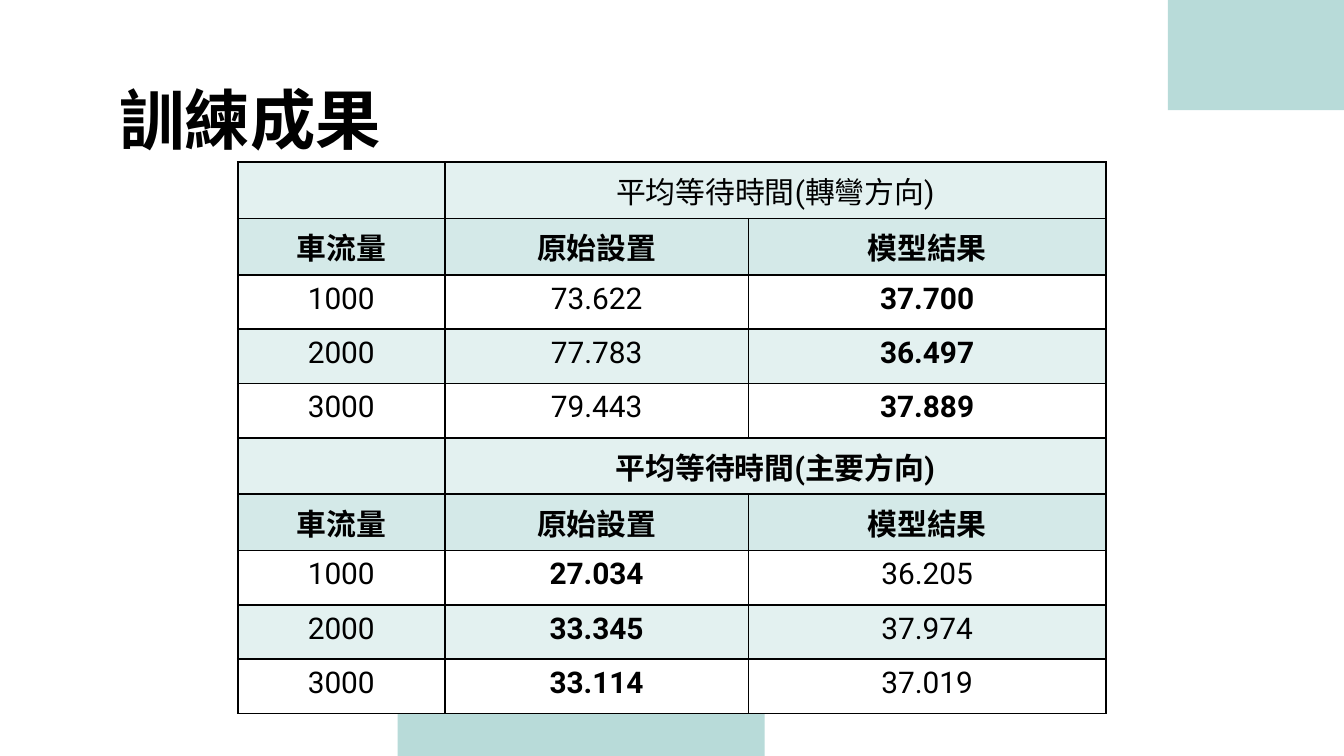
from dataclasses import dataclass

from lxml.etree import SubElement
from pptx import Presentation
from pptx.dml.color import RGBColor
from pptx.enum.shapes import MSO_SHAPE as Shape
from pptx.enum.text import MSO_ANCHOR as Anchor, PP_ALIGN as Align
from pptx.oxml.ns import qn
from pptx.util import Pt


@dataclass(frozen=True)
class Theme:
    """Colours, fonts and type sizes of the deck."""
    ink: RGBColor = RGBColor.from_string("000000")
    accent: RGBColor = RGBColor.from_string("B8DBD9")
    header: RGBColor = RGBColor.from_string("D4E9E8")
    band: RGBColor = RGBColor.from_string("E3F1F0")
    paper: RGBColor = RGBColor.from_string("FFFFFF")
    latin: str = "Roboto"
    chinese: str = "Noto Sans CJK SC"
    title_size: float = 35
    table_size: float = 16


THEME = Theme()
PAGE_WIDTH, PAGE_HEIGHT = 720, 405
COLUMN_WIDTHS = (110.9, 162.7, 191.5)
HEADER_ROWS = 2
HEADER_HEIGHT, RESULT_HEIGHT = 30.2, 29.1
HEADINGS = ("車流量", "原始設置", "模型結果")
SECTIONS = (
    ("平均等待時間(轉彎方向)", False, 2, (
        ("1000", "73.622", "37.700"),
        ("2000", "77.783", "36.497"),
        ("3000", "79.443", "37.889"))),
    ("平均等待時間(主要方向)", True, 1, (
        ("1000", "27.034", "36.205"),
        ("2000", "33.345", "37.974"),
        ("3000", "33.114", "37.019"))),
)


def style_text(para, latin, size, bold):
    """Format every run of a paragraph, with a Chinese companion font."""
    for span in para.runs:
        span.font.name = latin
        span.font.size = Pt(size)
        span.font.bold = bold
        span.font.color.rgb = THEME.ink
        SubElement(span.font._element, qn("a:ea"), typeface=THEME.chinese)


def add_block(page, left, top, width, height):
    """Place a plain accent rectangle."""
    block = page.shapes.add_shape(Shape.RECTANGLE, Pt(left), Pt(top), Pt(width), Pt(height))
    block.shadow.inherit = False
    block.fill.solid()
    block.fill.fore_color.rgb = THEME.accent
    block.line.fill.background()


def add_title(page, text, left, top, width, height):
    """Place the slide title."""
    box = page.shapes.add_textbox(Pt(left), Pt(top), Pt(width), Pt(height))
    frame = box.text_frame
    frame.word_wrap = True
    frame.vertical_anchor = Anchor.TOP
    frame.margin_left = frame.margin_right = Pt(7.2)
    frame.margin_top, frame.margin_bottom = Pt(11.5), Pt(0)
    frame.text = text
    para = frame.paragraphs[0]
    para.line_spacing = 0.9
    style_text(para, THEME.chinese, THEME.title_size, True)


def add_borders(cell):
    """Draw a thin line on all four sides of a cell."""
    properties = cell._tc.get_or_add_tcPr()
    for position, side in enumerate(("lnL", "lnR", "lnT", "lnB")):
        line = properties.makeelement(qn(f"a:{side}"), {"w": str(Pt(1))})
        fill = SubElement(line, qn("a:solidFill"))
        SubElement(fill, qn("a:srgbClr"), val=str(THEME.ink))
        properties.insert(position, line)


def fill_cell(cell, text, colour, bold=False):
    """Give a cell its fill, borders and centred text."""
    cell.fill.solid()
    cell.fill.fore_color.rgb = colour
    add_borders(cell)
    cell.text = text
    para = cell.text_frame.paragraphs[0]
    para.alignment = Align.CENTER
    para.font.size = Pt(THEME.table_size)
    style_text(para, THEME.latin, THEME.table_size, bold)


def fill_section(table, first_row, section):
    """Write one direction: its caption, headings and banded results."""
    caption, caption_bold, best_column, results = section
    for column, text in enumerate(("", caption, "")):
        fill_cell(table.cell(first_row, column), text, THEME.band, caption_bold)
    table.cell(first_row, 1).merge(table.cell(first_row, 2))
    for column, text in enumerate(HEADINGS):
        fill_cell(table.cell(first_row + 1, column), text, THEME.header, True)
    for index, values in enumerate(results):
        colour = THEME.band if index % 2 else THEME.paper
        for column, text in enumerate(values):
            cell = table.cell(first_row + HEADER_ROWS + index, column)
            fill_cell(cell, text, colour, column == best_column)


def add_results(page, left, top, width):
    """Place the table of waiting times, one section below the other."""
    result_rows = len(SECTIONS[0][3])
    section_rows = HEADER_ROWS + result_rows
    heights = [HEADER_HEIGHT] * HEADER_ROWS + [RESULT_HEIGHT] * result_rows
    heights *= len(SECTIONS)
    frame = page.shapes.add_table(len(heights), len(COLUMN_WIDTHS), Pt(left), Pt(top),
                                  Pt(width), Pt(sum(heights)))
    table = frame.table
    for column, column_width in zip(table.columns, COLUMN_WIDTHS):
        column.width = Pt(column_width)
    for row, height in zip(table.rows, heights):
        row.height = Pt(height)
    for index, section in enumerate(SECTIONS):
        fill_section(table, index * section_rows, section)


def main():
    """Build and save the deck."""
    deck = Presentation()
    deck.slide_width, deck.slide_height = Pt(PAGE_WIDTH), Pt(PAGE_HEIGHT)
    page = deck.slides.add_slide(deck.slide_layouts[6])
    add_block(page, 625.7, -147.6, 180.7, 206.6)
    add_block(page, 213, 371.5, 196.7, 81.4)
    add_title(page, "訓練成果", 57, 35.5, 607, 45.4)
    add_results(page, 127.4, 86.9, sum(COLUMN_WIDTHS))
    deck.save("out.pptx")


if __name__ == "__main__":
    main()
